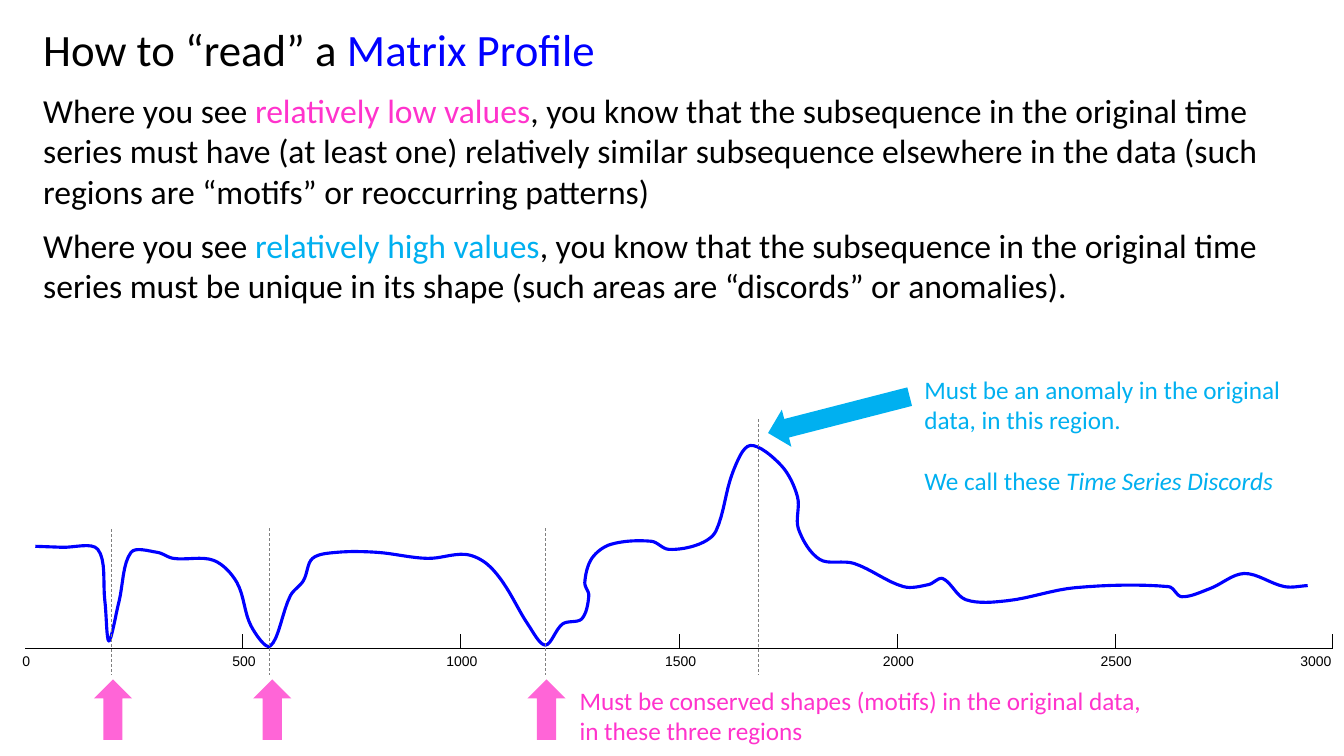
from dataclasses import dataclass
from math import dist

from lxml import etree
from pptx import Presentation
from pptx.dml.color import RGBColor
from pptx.enum.dml import MSO_LINE_DASH_STYLE as Dash
from pptx.enum.shapes import MSO_CONNECTOR as Connector, MSO_SHAPE as Shape
from pptx.enum.text import PP_ALIGN as Align
from pptx.oxml.ns import qn
from pptx.util import Pt

EMU_PER_PX = 9144
BLACK, BLUE, GREY = "000000", "0000FF", "808080"
PINK, CYAN, ARROW_PINK = "FF33CC", "00B0F0", "FF65D7"
AXIS_LEFT, AXIS_RIGHT, AXIS_Y, TICK_TOP = 25, 1322, 643, 629
AXIS_MAX, TICK_STEP = 3000, 500
CURVE_STEPS = 8

PROFILE = [
    (35, 542), (61, 543), (97, 545), (104, 596), (108, 636), (118, 597), (130, 548),
    (156, 548), (172, 554), (212, 556), (235, 578), (249, 621), (268, 641), (288, 591),
    (301, 576), (310, 554), (334, 548), (374, 548), (424, 554), (461, 550), (481, 558),
    (499, 578), (524, 620), (541, 640), (558, 619), (577, 614), (584, 591), (580, 578),
    (587, 554), (606, 540), (646, 537), (663, 545), (693, 540), (710, 527), (727, 468),
    (744, 442), (775, 462), (791, 493), (792, 525), (813, 555), (847, 559), (896, 582),
    (921, 580), (935, 574), (958, 595), (999, 596), (1067, 583), (1159, 582),
    (1172, 592), (1200, 584), (1234, 569), (1274, 582), (1297, 581),
]


@dataclass(frozen=True)
class Run:
    text: str
    color: str
    italic: bool = False


@dataclass(frozen=True)
class Line:
    runs: tuple[Run, ...]
    size: int
    before: int = 0
    after: int = 0


@dataclass(frozen=True)
class Textbox:
    left: int
    top: int
    width: int
    height: int
    lines: tuple[Line, ...]


@dataclass(frozen=True)
class Arrow:
    left: int
    top: int
    height: int
    color: str
    rotation: float = 0
    width: int = 38


@dataclass(frozen=True)
class Marker:
    x: int
    top: int
    bottom: int = 670


TEXTBOXES = [
    Textbox(33, 17, 1300, 383, (
        Line((Run("How to “read” a ", BLACK), Run("Matrix Profile", BLUE)), 32, after=10),
        Line((Run("Where you see ", BLACK), Run("relatively low values", PINK),
              Run(", you know that the subsequence in the original time series must have "
                  "(at least one) relatively similar subsequence elsewhere in the data "
                  "(such regions are “motifs” or reoccurring patterns)", BLACK)), 24, after=10),
        Line((Run("Where you see ", BLACK), Run("relatively high values", CYAN),
              Run(", you know that the subsequence in the original time series must be "
                  "unique in its shape (such areas are “discords” or anomalies).", BLACK)),
             24, after=10),
    )),
    Textbox(907, 366, 382, 131, (
        Line((Run("Must be an anomaly in the original data, in this region.", CYAN),), 18),
        Line((Run("We call these ", CYAN), Run("Time Series Discords", CYAN, True)),
             18, before=22),
    )),
    Textbox(565, 675, 591, 71, (
        Line((Run("Must be conserved shapes (motifs) in the original data, "
                  "in these three regions", PINK),), 18),
    )),
]
ARROWS = [Arrow(left, 674, 60, ARROW_PINK) for left in (93, 251, 523)]
ARROWS.append(Arrow(813, 339, 145, CYAN, 255.6))
MARKERS = [Marker(110, 525), Marker(267, 524), Marker(541, 524), Marker(752, 416)]


def px(length: float) -> int:
    return round(length * EMU_PER_PX)


def rgb(color: str) -> RGBColor:
    return RGBColor.from_string(color)


def add_line(slide, start: tuple[int, int], end: tuple[int, int], color: str,
             width: float, dash=None) -> None:
    connector = slide.shapes.add_connector(Connector.STRAIGHT, *map(px, start + end))
    connector.line.color.rgb = rgb(color)
    connector.line.width = Pt(width)
    if dash is not None:
        connector.line.dash_style = dash
    etree.SubElement(connector._element.spPr, qn("a:effectLst"))


def add_textbox(slide, box: Textbox) -> None:
    shape = slide.shapes.add_textbox(px(box.left), px(box.top), px(box.width), px(box.height))
    frame = shape.text_frame
    frame.word_wrap = True
    for index, line in enumerate(box.lines):
        paragraph = frame.add_paragraph() if index else frame.paragraphs[0]
        paragraph.font.name = "Calibri"
        paragraph.font.size = Pt(line.size)
        if line.before:
            paragraph.space_before = Pt(line.before)
        if line.after:
            paragraph.space_after = Pt(line.after)
        for item in line.runs:
            run = paragraph.add_run()
            run.text = item.text
            run.font.color.rgb = rgb(item.color)
            if item.italic:
                run.font.italic = True


def add_tick_label(slide, value: int, center: int) -> None:
    shape = slide.shapes.add_textbox(px(center - 16), px(647), px(32), px(17))
    frame = shape.text_frame
    frame.margin_left = frame.margin_right = frame.margin_top = frame.margin_bottom = 0
    frame.word_wrap = False
    paragraph = frame.paragraphs[0]
    paragraph.text = str(value)
    paragraph.alignment = Align.CENTER
    paragraph.font.name = "Arial"
    paragraph.font.size = Pt(10)
    paragraph.font.color.rgb = rgb(BLACK)


def add_axis(slide) -> None:
    add_line(slide, (AXIS_LEFT, AXIS_Y), (AXIS_RIGHT, AXIS_Y), BLACK, 0.75)
    for value in range(0, AXIS_MAX + 1, TICK_STEP):
        x = round(AXIS_LEFT + (AXIS_RIGHT - AXIS_LEFT) * value / AXIS_MAX)
        if value:
            add_line(slide, (x, AXIS_Y), (x, TICK_TOP), BLACK, 0.75)
        add_tick_label(slide, value, x - 17 if value == AXIS_MAX else x + 1)


def smooth(points: list[tuple[int, int]]) -> list[tuple[float, float]]:
    padded = [points[0], *points, points[-1]]
    curve: list[tuple[float, float]] = [points[0]]
    for before, start, end, after in zip(padded, padded[1:], padded[2:], padded[3:]):
        length = dist(start, end)
        start_scale = length / (dist(before, start) + length)
        end_scale = length / (length + dist(end, after))
        for step in range(1, CURVE_STEPS + 1):
            t = step / CURVE_STEPS
            curve.append(tuple(
                (2 * t**3 - 3 * t**2 + 1) * b + (t**3 - 2 * t**2 + t) * (c - a) * start_scale
                + (3 * t**2 - 2 * t**3) * c + (t**3 - t**2) * (d - b) * end_scale
                for a, b, c, d in zip(before, start, end, after)))
    return curve


def add_profile(slide) -> None:
    first, *rest = [(px(x), px(y)) for x, y in smooth(PROFILE)]
    builder = slide.shapes.build_freeform(*first, scale=1.0)
    builder.add_line_segments(rest, close=False)
    shape = builder.convert_to_shape()
    shape.shadow.inherit = False
    shape.fill.background()
    shape.line.color.rgb = rgb(BLUE)
    shape.line.width = Pt(2.25)


def add_arrow(slide, arrow: Arrow) -> None:
    shape = slide.shapes.add_shape(Shape.UP_ARROW, px(arrow.left), px(arrow.top),
                                   px(arrow.width), px(arrow.height))
    shape.shadow.inherit = False
    shape.rotation = arrow.rotation
    shape.fill.solid()
    shape.fill.fore_color.rgb = rgb(arrow.color)
    shape.line.fill.background()


def main() -> None:
    presentation = Presentation()
    presentation.slide_width, presentation.slide_height = px(1333), px(750)
    slide = presentation.slides.add_slide(presentation.slide_layouts[6])
    add_axis(slide)
    add_profile(slide)
    for arrow in ARROWS:
        add_arrow(slide, arrow)
    for marker in MARKERS:
        add_line(slide, (marker.x, marker.top), (marker.x, marker.bottom), GREY, 0.5, Dash.DASH)
    for box in TEXTBOXES:
        add_textbox(slide, box)
    presentation.save("out.pptx")


if __name__ == "__main__":
    main()
